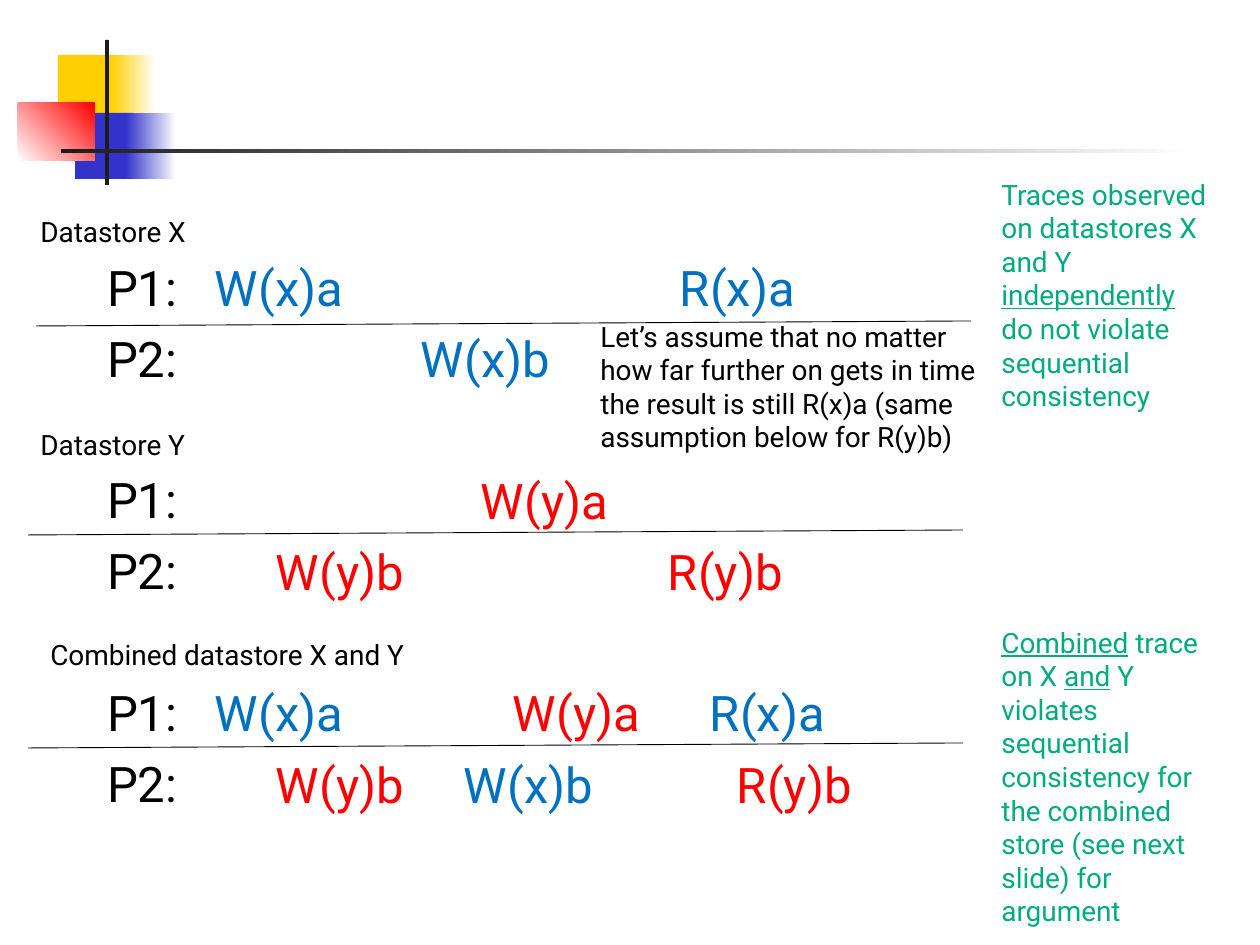
"""Build the slide on sequential consistency traces of two datastores."""
import pptx
import pptx.dml.color
import pptx.enum.shapes
import pptx.enum.text
import pptx.oxml
import pptx.oxml.ns
import pptx.util

COLORS = {"black": "000000", "x": "0070C0", "y": "FF0000", "remark": "00AB7E",
          "gold": "FFCF01", "indigo": "3333CC", "red": "FF0000",
          "ink": "1C1C1C", "white": "FFFFFF"}
FONT = "Roboto"
TRACE_LEFT, TRACE_TOP, ROW_PITCH = 107, 257, 71
PROCESS_WIDTH, OPERATION_WIDTH, OPERATION_HEIGHT = 90, 150, 58
ROWS_PER_GROUP = 3
GROUP_GAP, ROW_GAP = 47.1, 7.1
TRACE_FRAME = {"margin_left": 0, "margin_top": 0, "margin_right": 0,
               "margin_bottom": 0, "word_wrap": True,
               "auto_size": pptx.enum.text.MSO_AUTO_SIZE.NONE,
               "vertical_anchor": pptx.enum.text.MSO_ANCHOR.TOP}

DECORATION = [
    ((58, 55, 60, 66), ["gold"], 0),
    ((111, 55, 45, 66), ["gold", "white"], 0),
    ((75, 113, 58, 66), ["indigo"], 0),
    ((126, 113, 50, 66), ["indigo", "white"], 0),
    ((18, 103, 77, 58), ["white", "red"], 45),
    ((105, 40, 4, 145), ["ink"], 0),
    ((61, 149, 1134, 4), ["ink", "white"], 0),
]

TRACES = [
    [("P1:", [("W(x)a", "x", 215), ("R(x)a", "x", 680)]),
     ("P2:", [("W(x)b", "x", 421)])],
    [("P1:", [("W(y)a", "y", 481)]),
     ("P2:", [("W(y)b", "y", 276), ("R(y)b", "y", 668)])],
    [("P1:", [("W(x)a", "x", 215), ("W(y)a", "y", 513), ("R(x)a", "x", 710)]),
     ("P2:", [("W(y)b", "y", 276), ("W(x)b", "x", 464), ("R(y)b", "y", 737)])],
]

TIMELINES = [(36, 326), (28, 535), (28, 748)]
TIMELINE_WIDTH, TIMELINE_RISE = 935, 5

NOTES = [
    ((989, 171, 234, 282), "remark",
     [("Traces observed on datastores X and Y ", False), ("independently", True),
      (" do not violate sequential consistency", False)]),
    ((989, 619, 234, 315), "remark",
     [("Combined", True), (" trace on X ", False), ("and", True),
      (" Y violates sequential consistency for the combined store "
       "(see next slide) for argument", False)]),
    ((28, 208, 630, 47), "black", [("Datastore X", False)]),
    ((28, 421, 630, 47), "black", [("Datastore Y", False)]),
    ((38, 631, 630, 47), "black", [("Combined datastore X and Y", False)]),
    ((588, 313, 411, 181), "black",
     [("Let’s assume that no matter how far further on gets in time the result "
       "is still R(x)a (same assumption below for R(y)b)", False)]),
]


def px(length):
    return round(length * 914400 / 126)


def rgb(name):
    return pptx.dml.color.RGBColor.from_string(COLORS[name])


def apply(target, values):
    for name, value in values.items():
        setattr(target, name, value)


def add_run(paragraph, text, color, size, underline=False):
    run = paragraph.add_run()
    run.text = text
    apply(run.font, {"name": FONT, "size": pptx.util.Pt(size), "underline": underline})
    run.font.color.rgb = rgb(color)


def add_block(slide, box, colors, angle):
    block = slide.shapes.add_shape(
        pptx.enum.shapes.MSO_SHAPE.RECTANGLE, *map(px, box))
    block.shadow.inherit = False
    block.line.fill.background()
    if len(colors) == 1:
        block.fill.solid()
        block.fill.fore_color.rgb = rgb(colors[0])
        return
    block.fill.gradient()
    block.fill.gradient_angle = angle
    for stop, color in zip(block.fill.gradient_stops, colors):
        stop.color.rgb = rgb(color)


def remove_bullet(paragraph):
    properties = paragraph._p.get_or_add_pPr()
    for name in ("marL", "indent"):
        properties.set(name, "0")
    properties.append(pptx.oxml.parse_xml(
        f'<a:buNone {pptx.oxml.ns.nsdecls("a")}/>'))


def add_operation(slide, text, color, left, top):
    box = (left, top, OPERATION_WIDTH, OPERATION_HEIGHT)
    frame = slide.shapes.add_textbox(*map(px, box)).text_frame
    apply(frame, TRACE_FRAME)
    add_run(frame.paragraphs[0], text, color, 28)


def add_traces(slide, processes):
    height = ROW_PITCH * ROWS_PER_GROUP * len(TRACES)
    apply(processes, {"left": px(TRACE_LEFT), "top": px(TRACE_TOP),
                      "width": px(PROCESS_WIDTH), "height": px(height)})
    frame = processes.text_frame
    apply(frame, TRACE_FRAME)
    for group, rows in enumerate(TRACES):
        for row, (process, operations) in enumerate(rows):
            first = group == row == 0
            paragraph = frame.paragraphs[0] if first else frame.add_paragraph()
            remove_bullet(paragraph)
            gap = 0 if first else ROW_GAP if row else GROUP_GAP
            paragraph.space_before = pptx.util.Pt(gap)
            add_run(paragraph, process, "black", 28)
            top = TRACE_TOP + ROW_PITCH * (ROWS_PER_GROUP * group + row)
            for operation in operations:
                add_operation(slide, *operation, top)


def add_timeline(slide, left, top):
    timeline = slide.shapes.add_connector(
        pptx.enum.shapes.MSO_CONNECTOR.STRAIGHT,
        *map(px, (left, top, left + TIMELINE_WIDTH, top - TIMELINE_RISE)))
    timeline.line.width = pptx.util.Pt(0.5)
    timeline.line.color.rgb = rgb("black")
    timeline._element.spPr.append(pptx.oxml.parse_xml(
        f'<a:effectLst {pptx.oxml.ns.nsdecls("a")}/>'))


def add_note(slide, box, color, pieces):
    frame = slide.shapes.add_textbox(*map(px, box)).text_frame
    frame.word_wrap = True
    for text, underline in pieces:
        add_run(frame.paragraphs[0], text, color, 16, underline)


def main():
    deck = pptx.Presentation()
    apply(deck, {"slide_width": px(1260), "slide_height": px(945)})
    slide = deck.slides.add_slide(deck.slide_layouts[1])
    title, processes = slide.placeholders
    title._element.getparent().remove(title._element)
    for block in DECORATION:
        add_block(slide, *block)
    add_traces(slide, processes)
    for start in TIMELINES:
        add_timeline(slide, *start)
    for note in NOTES:
        add_note(slide, *note)
    deck.save("out.pptx")


if __name__ == "__main__":
    main()
